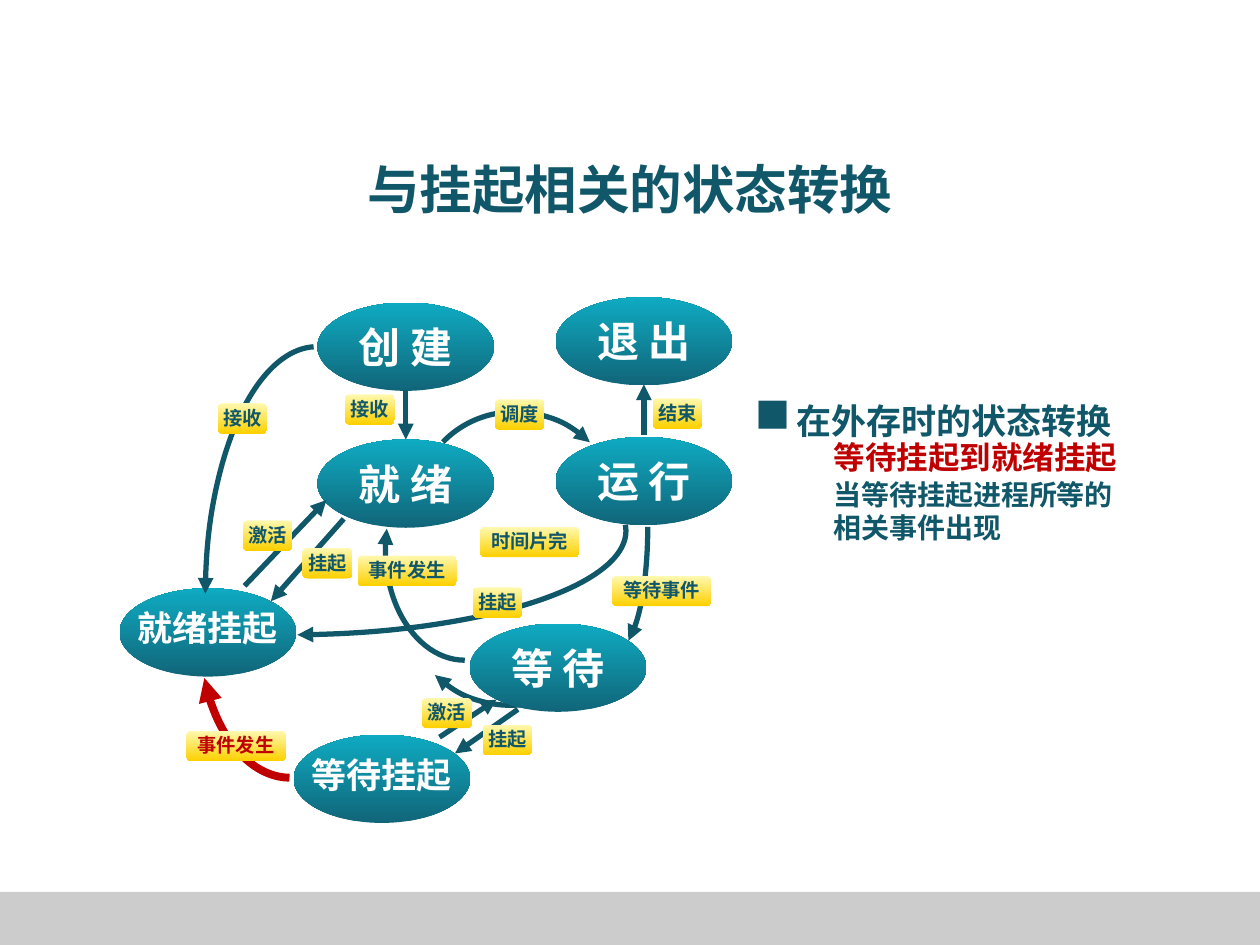
"""Build the slide on process state transitions related to suspension."""
from lxml import etree
from pptx import Presentation
from pptx.dml.color import RGBColor
from pptx.enum import shapes, text
from pptx.oxml.ns import qn
from pptx.util import Cm, Pt

THEME = {
    "font": "Noto Sans CJK SC", "bullet_font": "Noto Sans CJK JP",
    "teal": RGBColor.from_string("11576A"), "red": RGBColor.from_string("C00000"),
    "white": RGBColor.from_string("FFFFFF"), "gray": RGBColor.from_string("CCCCCC"),
    "node_fill": ("116579", "0EABC2"), "label_fill": ("FFF9B1", "FDD000"),
    "title": 30, "state": 24, "heading": 20, "point": 18, "body": 16, "label": 11,
    "thin": 3, "thick": 4.5,
}
CENTER = text.PP_ALIGN.CENTER


def write(box, words, size, color, align=None, wrap=True, font=THEME["font"]):
    frame = box.text_frame
    frame.word_wrap = wrap
    frame.auto_size = text.MSO_AUTO_SIZE.NONE
    para = frame.paragraphs[0]
    para.alignment = align
    span = para.add_run()
    span.text = words
    formats = {"name": font, "size": Pt(size), "bold": True}
    for name, value in formats.items():
        setattr(span.font, name, value)
    span.font.color.rgb = color
    etree.SubElement(span.font._element, qn("a:ea"), typeface=font)


def style(shape, stroke=None, width=THEME["thin"], end="tailEnd", gradient=None, angle=0):
    properties = shape._element.spPr
    if gradient:
        shape.line.fill.background()
        shape.fill.gradient()
        shape.fill.gradient_angle = angle
        for stop, color in zip(shape.fill.gradient_stops, gradient):
            stop.color.rgb = RGBColor.from_string(color)
    else:
        shape.line.color.rgb = stroke
        shape.line.width = Pt(width)
        etree.SubElement(shape.line._get_or_add_ln(), qn("a:" + end), type="triangle")
    etree.SubElement(properties, qn("a:effectLst"))


deck = Presentation()
deck.slide_width, deck.slide_height = Cm(25.4), Cm(19.05)
page = deck.slides.add_slide(deck.slide_layouts[5])
canvas = page.shapes

bar = canvas.add_shape(shapes.MSO_SHAPE.RECTANGLE, 0, Cm(17.98), Cm(25.4), Cm(1.07))
bar.shadow.inherit = False
bar.fill.solid()
bar.fill.fore_color.rgb = THEME["gray"]
bar.line.fill.background()

title = canvas.title
placement = {"left": Cm(1.9), "top": Cm(2.64), "width": Cm(21.6), "height": Cm(2.34)}
for name, value in placement.items():
    setattr(title, name, value)
title.text_frame.vertical_anchor = text.MSO_ANCHOR.MIDDLE
write(title, "与挂起相关的状态转换", THEME["title"], THEME["teal"], CENTER)

notes = [
    (15.8, 7.75, 8.1, 1.19, "在外存时的状态转换", "heading", "teal", "font", 1.2),
    (14.99, 7.8, 0.94, 1.12, "■", "heading", "teal", "bullet_font", 1),
    (16.56, 9.5, 6.68, 1.09, "当等待挂起进程所等的相关事件出现", "body", "teal", "font", 1),
    (16.56, 8.71, 8.8, 1.09, "等待挂起到就绪挂起", "point", "red", "font", 1),
]
for left, top, width, height, words, size, color, font, spacing in notes:
    box = canvas.add_textbox(Cm(left), Cm(top), Cm(width), Cm(height))
    write(box, words, THEME[size], THEME[color], font=THEME[font])
    box.text_frame.paragraphs[0].line_spacing = spacing

NODE_WIDTH, NODE_HEIGHT = 3.56, 1.78
diagram = [
    ("arc", 11.79, 8.13, 1.27, 4.98, 0.13, 83.91, 0, "tailEnd", "teal", "thin"),
    ("arc", 8.1, 9.88, 4.24, 4.37, 267.64, 359.27, 134, "tailEnd", "teal", "thin"),
    ("node", 6.4, 6.1, "创 建", "state"),
    ("node", 6.4, 8.86, "就 绪", "state"),
    ("node", 11.2, 8.81, "运 行", "state"),
    ("arc", 8.41, 8.26, 4.11, 4.27, 270, 0, 314, "tailEnd", "teal", "thin"),
    ("node", 9.47, 12.57, "等 待", "state"),
    ("arc", -1.07, 8.61, 13.69, 4.19, 358.96, 83.95, 0, "tailEnd", "teal", "thin"),
    ("node", 11.2, 5.99, "退 出", "state"),
    ("arc", 7.77, 8.84, 3.2, 4.47, 90, 194.77, 0, "tailEnd", "teal", "thin"),
    ("node", 2.41, 11.86, "就绪挂起", "heading"),
    ("node", 5.92, 14.81, "等待挂起", "heading"),
    ("arc", 4.04, 9.96, 3.63, 5.72, 90.37, 153.88, 0, "tailEnd", "red", "thick"),
    ("arc", 4.14, 6.99, 4.5, 10.03, 180.9, 269.23, 0, "headEnd", "teal", "thin"),
]
for kind, left, top, *details in diagram:
    if kind == "arc":
        width, height, start, stop, rotation, end, color, weight = details
        arc = canvas.add_shape(shapes.MSO_SHAPE.ARC, Cm(left), Cm(top), Cm(width), Cm(height))
        arc.adjustments[0], arc.adjustments[1] = start * 0.6, stop * 0.6
        arc.rotation = rotation
        arc.fill.background()
        style(arc, THEME[color], THEME[weight], end)
    else:
        words, size = details
        node = canvas.add_shape(shapes.MSO_SHAPE.OVAL, Cm(left), Cm(top),
                                Cm(NODE_WIDTH), Cm(NODE_HEIGHT))
        style(node, gradient=THEME["node_fill"], angle=90)
        width, height = (2.49, 1.27) if size == "state" else (3.35, 1.12)
        box = canvas.add_textbox(Cm(left + (NODE_WIDTH - width) / 2), Cm(top + 0.25),
                                 Cm(width), Cm(height))
        write(box, words, THEME[size], THEME["white"], CENTER, wrap=False)

arrows = [
    (8.18, 7.87, 8.18, 8.86), (12.98, 8.76, 12.98, 7.75),
    (10.44, 14.3, 9.17, 15.19), (8.86, 14.86, 10.01, 14.1),
    (4.93, 11.81, 6.58, 10.08), (6.93, 10.46, 5.46, 12.12),
]
for ends in arrows:
    arrow = canvas.add_connector(shapes.MSO_CONNECTOR.STRAIGHT, *map(Cm, ends))
    style(arrow, THEME["teal"])

labels = [
    (9.53, 11.84, "挂起", "teal"), (4.39, 8.13, "接收", "teal"),
    (3.76, 14.73, "事件发生", "red"), (6.96, 7.95, "接收", "teal"),
    (4.9, 10.49, "激活", "teal"), (6.1, 11.05, "挂起", "teal"),
    (7.21, 11.2, "事件发生", "teal"), (8.51, 14.07, "激活", "teal"),
    (9.73, 14.61, "挂起", "teal"), (12.34, 11.61, "等待事件", "teal"),
    (9.68, 10.62, "时间片完", "teal"), (9.98, 8.05, "调度", "teal"),
    (13.16, 8.03, "结束", "teal"),
]
for left, top, words, color in labels:
    width = 0.5 * len(words)
    label = canvas.add_shape(shapes.MSO_SHAPE.ROUNDED_RECTANGLE, Cm(left), Cm(top),
                             Cm(width), Cm(0.61))
    style(label, gradient=THEME["label_fill"], angle=270)
    box = canvas.add_textbox(Cm(left - 0.2), Cm(top - 0.07), Cm(width + 0.4), Cm(0.74))
    write(box, words, THEME["label"], THEME[color], CENTER)

deck.save("out.pptx")
